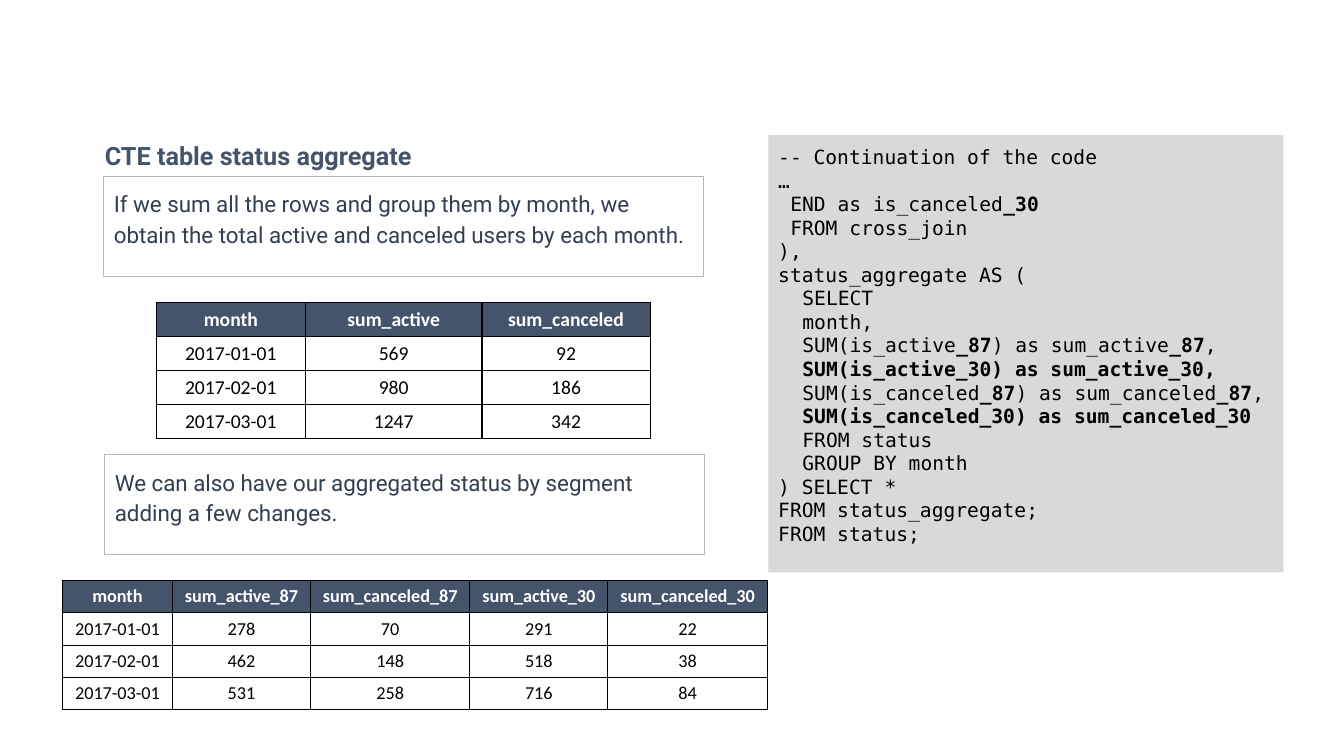
from lxml import etree
from pptx import Presentation
from pptx.dml.color import RGBColor
from pptx.enum.shapes import MSO_SHAPE
from pptx.enum.text import MSO_ANCHOR, PP_ALIGN
from pptx.oxml.ns import qn
from pptx.util import Inches, Pt

RECTANGLE = MSO_SHAPE.RECTANGLE
TOP, MIDDLE = MSO_ANCHOR.TOP, MSO_ANCHOR.MIDDLE
LEFT, CENTER = PP_ALIGN.LEFT, PP_ALIGN.CENTER
BLACK = RGBColor(0x00, 0x00, 0x00)
WHITE = RGBColor(0xFF, 0xFF, 0xFF)
SLATE = RGBColor(0x44, 0x54, 0x6A)
DARK_SLATE = RGBColor(0x33, 0x3F, 0x50)
CODE_GRAY = RGBColor(0xD9, 0xD9, 0xD9)
BORDER_GRAY = RGBColor(0xB7, 0xB7, 0xB7)

CODE_INDENT = 0.12
CODE_LINES = [
    (0, "-- Continuation of the code"),
    (0, "…"),
    (1, "END as is_canceled|_30"),
    (1, "FROM cross_join"),
    (0, "),"),
    (0, "status_aggregate AS ("),
    (2, "SELECT"),
    (2, "month,"),
    (2, "SUM(is_active|_87|) as sum_active|_87|,"),
    (2, "|SUM(is_active_30) as sum_active_30,"),
    (2, "SUM(is_canceled|_87|) as sum_canceled|_87|,"),
    (2, "|SUM(is_canceled_30) as sum_canceled_30"),
    (2, "FROM status"),
    (2, "GROUP BY month"),
    (0, ") SELECT *"),
    (0, "FROM status_aggregate;"),
    (0, "FROM status;"),
]
NOTES = [
    (1.03, 1.75, "If we sum all the rows and group them by month, "
                 "we obtain the total active and canceled users by each month."),
    (1.04, 4.51, "We can also have our aggregated status by segment adding a few changes."),
]
TABLES = [
    (1.55, 3, 1.33, 14, [1.48, 1.75, 1.67], [
        ["month", "sum_active", "sum_canceled"],
        ["2017-01-01", "569", "92"],
        ["2017-02-01", "980", "186"],
        ["2017-03-01", "1247", "342"],
    ]),
    (0.62, 5.76, 1.27, 13, [1.09, 1.37, 1.58, 1.37, 1.58], [
        ["month", "sum_active_87", "sum_canceled_87", "sum_active_30", "sum_canceled_30"],
        ["2017-01-01", "278", "70", "291", "22"],
        ["2017-02-01", "462", "148", "518", "38"],
        ["2017-03-01", "531", "258", "716", "84"],
    ]),
]


def add_span(para, text, font, size, color, bold=False):
    span = para.add_run()
    span.text = text
    span.font.name = font
    span.font.size = Pt(size)
    span.font.color.rgb = color
    span.font.bold = bold


def add_box(left, top, width, height):
    box = slide.shapes.add_shape(
        RECTANGLE, Inches(left), Inches(top), Inches(width), Inches(height))
    box.shadow.inherit = False
    frame = box.text_frame
    frame.word_wrap = True
    frame.vertical_anchor = TOP
    frame.margin_left = frame.margin_right = Inches(0.1)
    frame.margin_top = frame.margin_bottom = Inches(0.1)
    return box


deck = Presentation()
deck.slide_width = Inches(13.33)
deck.slide_height = Inches(7.5)
slide = deck.slides.add_slide(deck.slide_layouts[5])

title = slide.shapes.title
title.left, title.top = Inches(0.94), Inches(1.34)
title.width, title.height = Inches(3.82), Inches(0.4)
title.text_frame.word_wrap = True
title.text_frame.vertical_anchor = TOP
para = title.text_frame.paragraphs[0]
para.alignment = LEFT
add_span(para, "CTE table status aggregate", "Roboto", 18, SLATE, True)

code_box = add_box(7.62, 1.34, 5.11, 4.34)
code_box.fill.solid()
code_box.fill.fore_color.rgb = CODE_GRAY
code_box.line.fill.background()
for number, (level, line) in enumerate(CODE_LINES):
    frame = code_box.text_frame
    para = frame.add_paragraph() if number else frame.paragraphs[0]
    para.alignment = LEFT
    para._p.get_or_add_pPr().set("marL", str(Inches(level * CODE_INDENT)))
    for index, part in enumerate(line.split("|")):
        if part:
            add_span(para, part, "DejaVu Sans Mono", 14, BLACK, index % 2 == 1)

for left, top, text in NOTES:
    note_box = add_box(left, top, 5.95, 0.99)
    note_box.fill.background()
    note_box.line.color.rgb = BORDER_GRAY
    note_box.line.width = Pt(0.75)
    para = note_box.text_frame.paragraphs[0]
    para.alignment = LEFT
    para.line_spacing = 1.15
    add_span(para, text, "Roboto", 16, DARK_SLATE)

for left, top, height, size, widths, rows in TABLES:
    table = slide.shapes.add_table(
        len(rows), len(widths), Inches(left), Inches(top),
        Inches(sum(widths)), Inches(height)).table
    table.horz_banding = False
    for column, width in zip(table.columns, widths):
        column.width = Inches(width)
    for row_index, values in enumerate(rows):
        is_header = row_index == 0
        for column_index, value in enumerate(values):
            cell = table.cell(row_index, column_index)
            cell.vertical_anchor = MIDDLE
            cell.margin_left = cell.margin_right = Inches(0.05)
            if is_header:
                cell.fill.solid()
                cell.fill.fore_color.rgb = SLATE
            else:
                cell.fill.background()
            para = cell.text_frame.paragraphs[0]
            para.alignment = CENTER
            add_span(para, value, "Calibri", size, WHITE if is_header else BLACK, is_header)
            properties = cell._tc.get_or_add_tcPr()
            for position, side in enumerate(("a:lnL", "a:lnR", "a:lnT", "a:lnB")):
                border = etree.Element(qn(side), w=str(Pt(1)))
                fill = etree.SubElement(border, qn("a:solidFill"))
                etree.SubElement(fill, qn("a:srgbClr"), val=str(BLACK))
                properties.insert(position, border)

deck.save("out.pptx")
